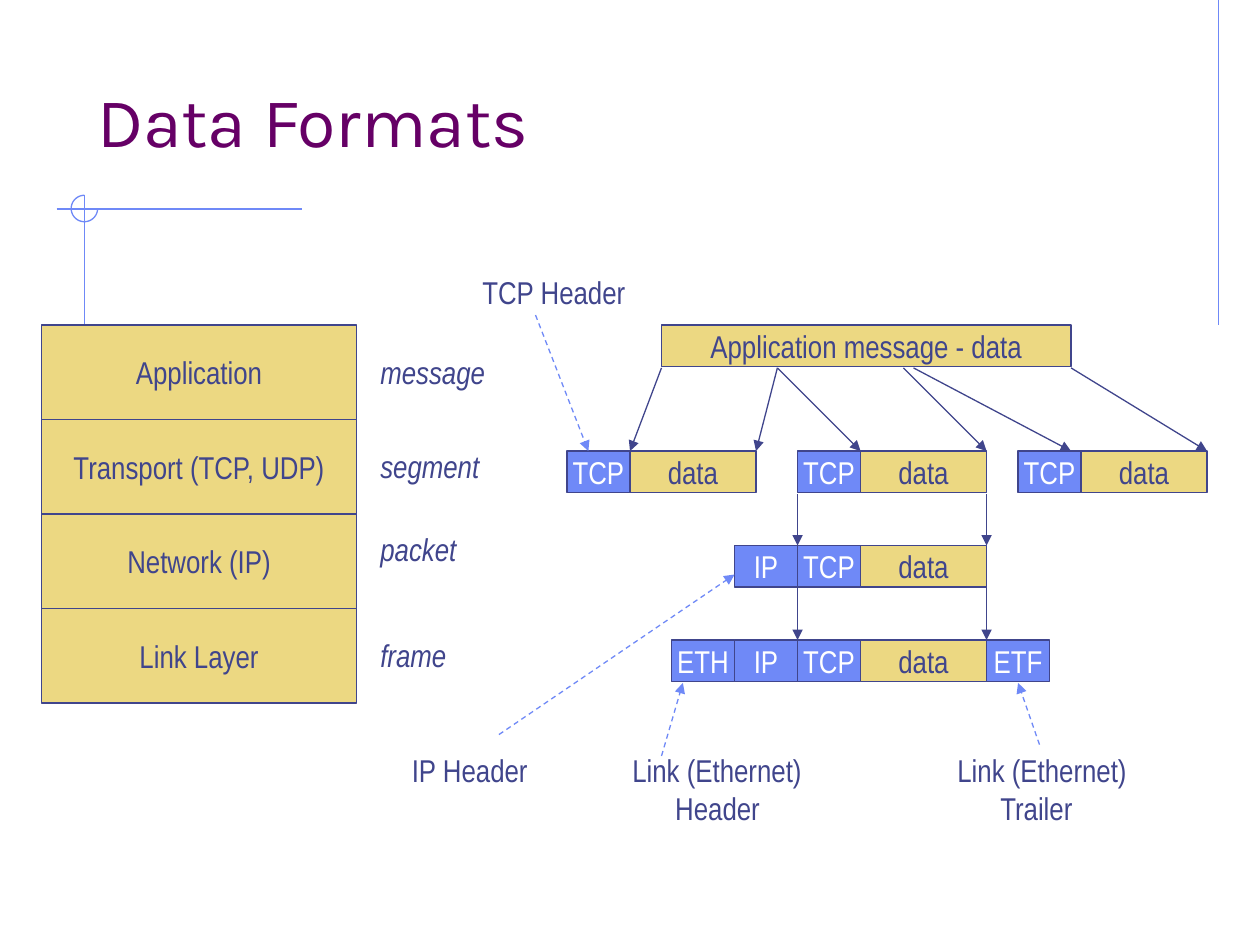
from math import cos, pi, sin

from lxml.etree import SubElement
from pptx import Presentation
from pptx.dml.color import RGBColor
from pptx.enum.dml import MSO_LINE
from pptx.enum.shapes import MSO_CONNECTOR, MSO_SHAPE
from pptx.enum.text import MSO_ANCHOR, PP_ALIGN
from pptx.oxml.ns import qn
from pptx.util import Inches, Pt

COLORS = {"ink": "40458C", "blue": "6F89F7", "sand": "ECD882",
          "plum": "660066", "white": "FFFFFF"}
RGB = {name: RGBColor.from_string(value) for name, value in COLORS.items()}

prs = Presentation()
prs.slide_width, prs.slide_height = Inches(10), Inches(7.5)
slide = prs.slides.add_slide(prs.slide_layouts[5])
shapes = slide.shapes


def add_box(text, left, top, width, height, fill):
    box = shapes.add_shape(MSO_SHAPE.RECTANGLE, Inches(left), Inches(top),
                           Inches(width), Inches(height))
    box.shadow.inherit = False
    box.fill.solid()
    box.fill.fore_color.rgb = RGB[fill]
    box.line.color.rgb = RGB["ink"]
    box.line.width = Pt(0.75)
    frame = box.text_frame
    frame.word_wrap = False
    frame.vertical_anchor = MSO_ANCHOR.MIDDLE
    frame.text = text
    paragraph = frame.paragraphs[0]
    paragraph.alignment = PP_ALIGN.CENTER
    paragraph.font.name, paragraph.font.size = "Arial Narrow", Pt(18)
    paragraph.font.color.rgb = RGB["white" if fill == "blue" else "ink"]


def add_line(x1, y1, x2, y2, color, arrow=True, dashed=False):
    line = shapes.add_connector(MSO_CONNECTOR.STRAIGHT, Inches(x1), Inches(y1),
                                Inches(x2), Inches(y2))
    line.line.color.rgb = RGB[color]
    line.line.width = Pt(0.75)
    if dashed:
        line.line.dash_style = MSO_LINE.DASH
    if arrow:
        SubElement(line.line._get_or_add_ln(), qn("a:tailEnd"), type="triangle")
    SubElement(line._element.spPr, qn("a:effectLst"))


# Decorative rules and three-quarter circle
for ends in [(9.67, 0, 9.67, 2.58), (0.45, 1.66, 2.4, 1.66),
             (0.67, 1.55, 0.67, 4.09)]:
    add_line(*ends, "blue", arrow=False)

steps = 36
arc = [(Inches(0.67 - 0.105 * sin(1.5 * pi * i / steps)),
        Inches(1.655 - 0.105 * cos(1.5 * pi * i / steps)))
       for i in range(steps + 1)]
builder = shapes.build_freeform(*arc[0])
builder.add_line_segments(arc[1:], close=False)
ring = builder.convert_to_shape()
ring.shadow.inherit = False
ring.fill.background()
ring.line.color.rgb = RGB["blue"]
ring.line.width = Pt(0.75)

# Title
title = shapes.title
title.left, title.top = Inches(0.67), Inches(0.33)
title.width, title.height = Inches(8.5), Inches(1)
title.text_frame.text = "Data Formats"
title.text_frame.vertical_anchor = MSO_ANCHOR.BOTTOM
heading = title.text_frame.paragraphs[0]
heading.alignment = PP_ALIGN.LEFT
heading.font.name, heading.font.size = "Karla", Pt(40)
heading.font.color.rgb = RGB["plum"]

# Protocol layers
layers = ["Application", "Transport (TCP, UDP)", "Network (IP)", "Link Layer"]
for i, layer in enumerate(layers):
    add_box(layer, 0.33, 2.58 + 0.75 * i, 2.5, 0.75, "sand")

# Message, segments, packet and frame
add_box("Application message - data", 5.25, 2.58, 3.25, 0.33, "sand")
units = [(4.5, 3.58, ["TCP", "data"]), (6.33, 3.58, ["TCP", "data"]),
         (8.08, 3.58, ["TCP", "data"]), (5.83, 4.33, ["IP", "TCP", "data"]),
         (5.33, 5.08, ["ETH", "IP", "TCP", "data", "ETF"])]
for left, top, fields in units:
    for field in fields:
        width, fill = (1, "sand") if field == "data" else (0.5, "blue")
        add_box(field, left, top, width, 0.33, fill)
        left += width

# Message split into segments
for start, end in [(5.25, 5), (6.17, 6), (6.17, 6.83), (7.17, 7.83),
                   (7.25, 8.5), (8.5, 9.58)]:
    add_line(start, 2.92, end, 3.58, "ink")

# Encapsulation
for x in (6.33, 7.83):
    add_line(x, 3.92, x, 4.33, "ink")
    add_line(x, 4.58, x, 5.08, "ink")

# Dashed pointers from labels to fields
for ends in [(4.25, 2.5, 4.67, 3.58), (3.96, 5.83, 5.83, 4.56),
             (5.25, 6, 5.42, 5.42), (8.25, 5.91, 8.08, 5.42)]:
    add_line(*ends, "blue", dashed=True)

# Labels
labels = [("TCP Header", 3.73, 2.12, 1.34, False),
          ("IP Header", 3.17, 5.91, 1.12, False),
          ("Link (Ethernet)\nHeader", 4.92, 5.91, 1.55, False),
          ("Link (Ethernet)\nTrailer", 7.5, 5.91, 1.55, False),
          ("message", 2.92, 2.75, 1.03, True),
          ("segment", 2.92, 3.5, 1, True),
          ("packet", 2.92, 4.16, 0.81, True),
          ("frame", 2.92, 5, 0.73, True)]
for text, left, top, width, italic in labels:
    height = 0.7 if "\n" in text else 0.4
    label = shapes.add_textbox(Inches(left), Inches(top), Inches(width), Inches(height))
    label.text_frame.word_wrap = False
    label.text_frame.text = text
    for i, paragraph in enumerate(label.text_frame.paragraphs):
        paragraph.font.name, paragraph.font.size = "Arial Narrow", Pt(18)
        paragraph.font.italic = italic
        paragraph.font.color.rgb = RGB["ink"]
        if i:  # indent the second line
            paragraph._p.get_or_add_pPr().set("marL", str(Inches(0.34)))

prs.save("out.pptx")
